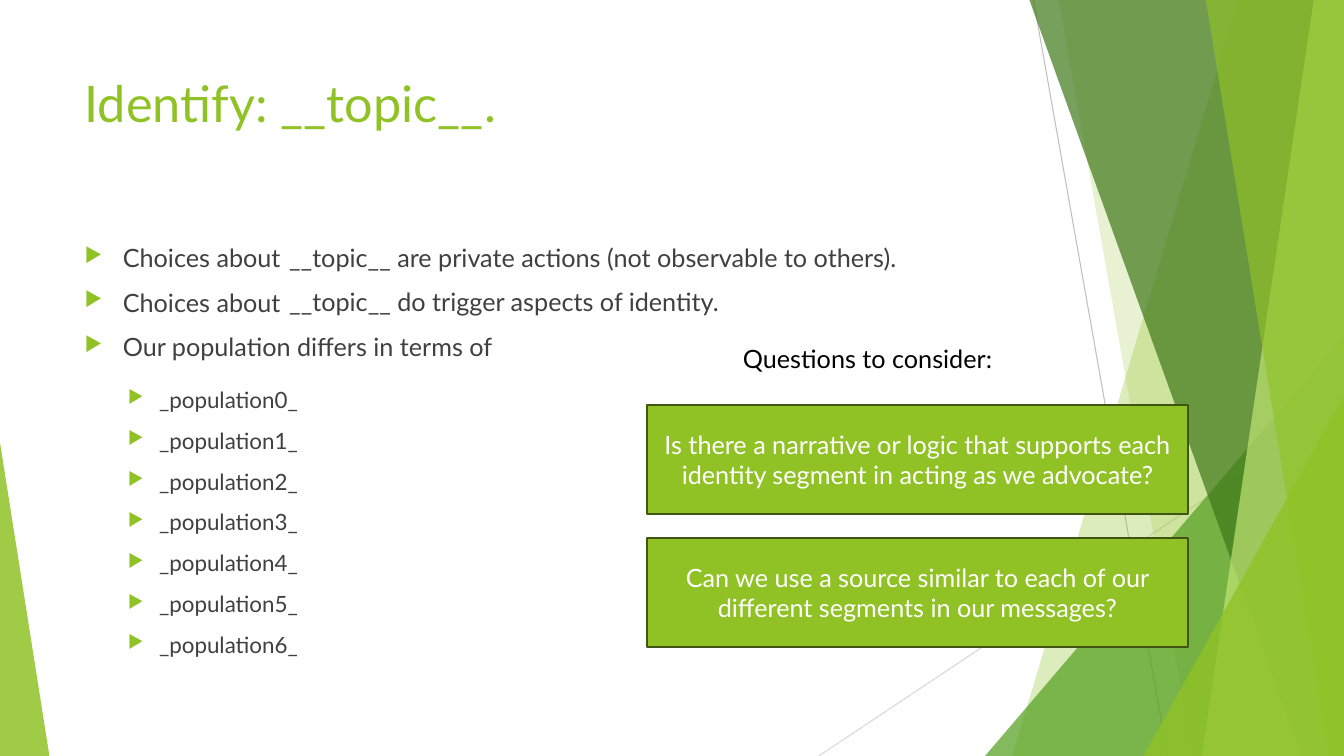
import dataclasses
import typing

import pptx
import pptx.dml.color
import pptx.enum.shapes
import pptx.enum.text
import pptx.oxml
import pptx.oxml.ns
import pptx.util

PX = 9144  # EMU in one px, 100 px to the inch
WIDE, HIGH = 1333, 750
FONT = "Lato"
HUES = {
    "lime": "90C226", "pale": "C0E474", "green": "54A021", "dark": "3F7819",
    "edge": "3F5511", "ink": "404040", "black": "000000", "white": "FFFFFF",
    "gray": "BFBFBF", "light": "D9D9D9",
}
Box = tuple[int, int, int, int]


@dataclasses.dataclass
class Ray:
    start: tuple[int, int]
    end: tuple[int, int]
    hue: str


@dataclasses.dataclass
class Facet:
    """Panel with a slanted left side, reaching the right edge of the slide."""
    top: int
    base: int
    hue: str
    alpha: int


@dataclasses.dataclass
class Wedge:
    box: Box
    apex: int
    hue: str
    alpha: int


@dataclasses.dataclass
class Note:
    box: Box
    lines: list[str]
    size: int = 18
    hue: str = "ink"
    wrap: bool = True
    grow: bool = True
    level: int = 0
    dent: tuple[int, int] | None = None  # left margin and bullet hang


RAYS = [Ray((1025, 0), (1158, 750), "gray"), Ray((1333, 403), (812, 750), "light")]
DECOR: list[Facet | Wedge] = [
    Facet(1228, 1004, "lime", 30),
    Facet(1050, 1183, "lime", 20),
    Wedge((977, 333, 356, 417), 1, "green", 72),
    Facet(1021, 1291, "dark", 70),
    Facet(1303, 1192, "pale", 70),
    Facet(1196, 1318, "lime", 65),
    Wedge((1134, 393, 199, 357), 1, "lime", 80),
    Wedge((0, 439, 49, 311), 0, "lime", 85),
]
BODY = Note((74, 236, 940, 424),
            ["Choices about", "Choices about", "Our population differs in terms of"],
            grow=False, dent=(38, 38))
PROMPT = Note((727, 336, 272, 40), ["Questions to consider:"], hue="black", wrap=False)
CARDS = [
    "Is there a narrative or logic that supports each identity segment in acting as we advocate?",
    "Can we use a source similar to each of our different segments in our messages?",
]
NOTES = [
    Note((67, 378, 565, 313), [f"_population{i}_" for i in range(7)],
         size=16, level=1, dent=(81, 31)),
    Note((74, 67, 960, 71), ["Identify: __topic__."], size=36, hue="lime"),
    Note((277, 236, 833, 40), ["__topic__ are private actions (not observable to others)."]),
    Note((277, 279, 792, 40), ["__topic__ do trigger aspects of identity."]),
]


def emu(*sides: int) -> list[pptx.util.Emu]:
    return [pptx.util.Emu(side * PX) for side in sides]


def rgb(hue: str) -> pptx.dml.color.RGBColor:
    return pptx.dml.color.RGBColor.from_string(HUES[hue])


def add_node(parent: typing.Any, tag: str, **attrs: str) -> typing.Any:
    node = pptx.oxml.parse_xml(f"<{tag} {pptx.oxml.ns.nsdecls('a')}/>")
    for key, value in attrs.items():
        node.set(key, value)
    parent.append(node)
    return node


def paint(shape: typing.Any, hue: str, alpha: int = 100) -> None:
    shape.shadow.inherit = False
    shape.fill.solid()
    shape.fill.fore_color.rgb = rgb(hue)
    if alpha < 100:
        color = shape.element.spPr.find(".//" + pptx.oxml.ns.qn("a:srgbClr"))
        add_node(color, "a:alpha", val=str(alpha * 1000))
    shape.line.fill.background()


def style(par: typing.Any, size: int, hue: str) -> None:
    for run in par.runs:
        run.font.name = FONT
        run.font.size = pptx.util.Pt(size)
        run.font.color.rgb = rgb(hue)


def add_ray(shapes: typing.Any, ray: Ray) -> None:
    line = shapes.add_connector(
        pptx.enum.shapes.MSO_CONNECTOR.STRAIGHT, *emu(*ray.start, *ray.end))
    line.line.color.rgb = rgb(ray.hue)
    line.line.width = pptx.util.Pt(0.75)
    add_node(line.element.spPr, "a:effectLst")


def add_facet(shapes: typing.Any, facet: Facet) -> None:
    form = shapes.build_freeform(facet.top, 0, scale=PX)
    form.add_line_segments([(WIDE, 0), (WIDE, HIGH), (facet.base, HIGH)], close=True)
    paint(form.convert_to_shape(), facet.hue, facet.alpha)


def add_wedge(shapes: typing.Any, wedge: Wedge) -> None:
    shape = shapes.add_shape(
        pptx.enum.shapes.MSO_SHAPE.ISOSCELES_TRIANGLE, *emu(*wedge.box))
    shape.adjustments[0] = wedge.apex
    paint(shape, wedge.hue, wedge.alpha)


def add_bullet(par: typing.Any, left: int, hang: int) -> None:
    props = par._p.get_or_add_pPr()
    props.set("marL", str(left * PX))
    props.set("indent", str(-hang * PX))
    add_node(add_node(props, "a:buClr"), "a:srgbClr", val=HUES["lime"])
    add_node(props, "a:buSzPct", val="80000")
    add_node(props, "a:buChar", char="▶")


def add_note(shapes: typing.Any, note: Note) -> None:
    frame = shapes.add_textbox(*emu(*note.box)).text_frame
    frame.text = "\n".join(note.lines)
    frame.word_wrap = note.wrap
    sizing = pptx.enum.text.MSO_AUTO_SIZE
    frame.auto_size = sizing.SHAPE_TO_FIT_TEXT if note.grow else sizing.NONE
    for i, par in enumerate(frame.paragraphs):
        par.level = note.level
        if note.dent:
            add_bullet(par, *note.dent)
        if i:
            par.space_before = pptx.util.Pt(10)
        style(par, note.size, note.hue)


def add_card(shapes: typing.Any, text: str, top: int) -> None:
    card = shapes.add_shape(
        pptx.enum.shapes.MSO_SHAPE.RECTANGLE, *emu(642, top, 536, 108))
    paint(card, "lime")
    card.line.color.rgb = rgb("edge")
    card.line.width = pptx.util.Pt(1.5)
    frame = card.text_frame
    frame.text = text
    frame.word_wrap = True
    frame.vertical_anchor = pptx.enum.text.MSO_ANCHOR.MIDDLE
    par = frame.paragraphs[0]
    par.alignment = pptx.enum.text.PP_ALIGN.CENTER
    style(par, 18, "white")


def main() -> None:
    deck = pptx.Presentation()
    deck.slide_width, deck.slide_height = emu(WIDE, HIGH)
    slide = deck.slides.add_slide(deck.slide_layouts[6])
    shapes = slide.shapes

    # Backdrop
    for ray in RAYS:
        add_ray(shapes, ray)
    for part in DECOR:
        if isinstance(part, Facet):
            add_facet(shapes, part)
        else:
            add_wedge(shapes, part)

    # Claims and questions
    add_note(shapes, BODY)
    add_note(shapes, PROMPT)
    for i, text in enumerate(CARDS):
        add_card(shapes, text, 402 + 132 * i)

    # Groups, title and topics
    for note in NOTES:
        add_note(shapes, note)

    deck.save("out.pptx")


if __name__ == "__main__":
    main()
